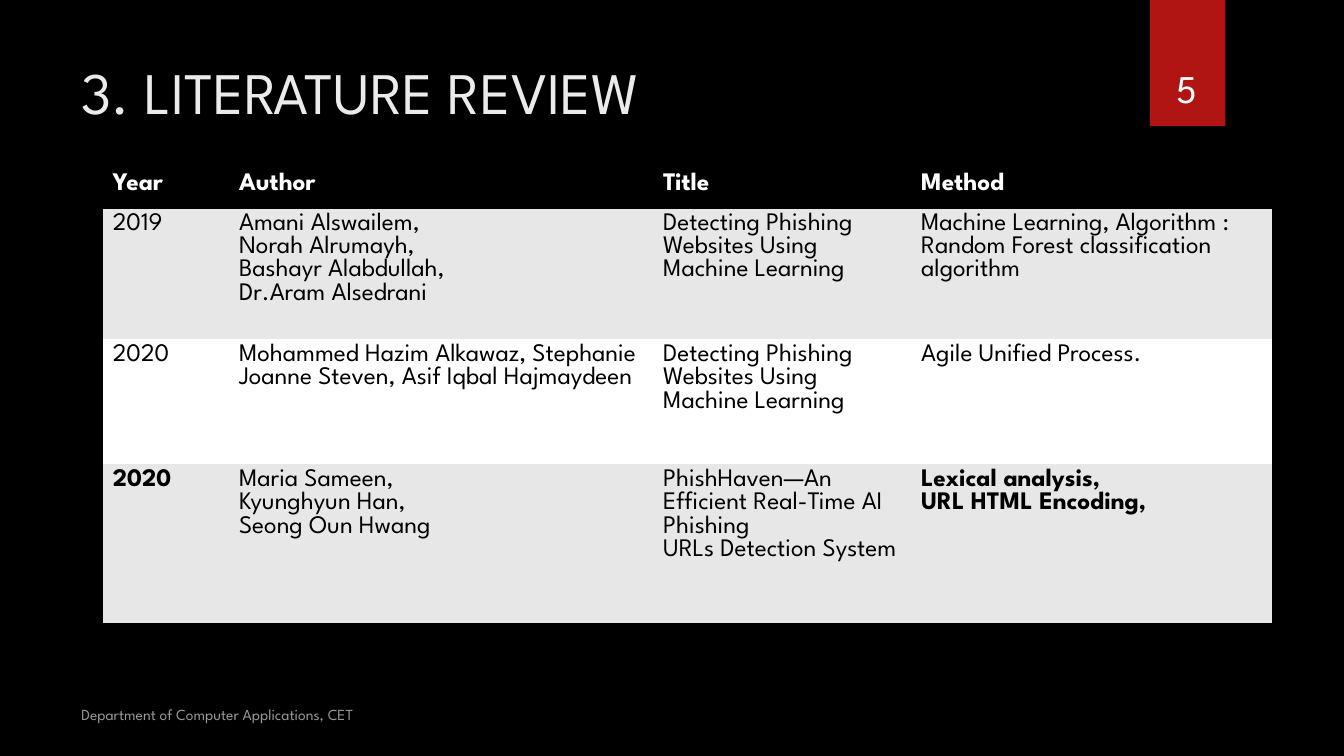
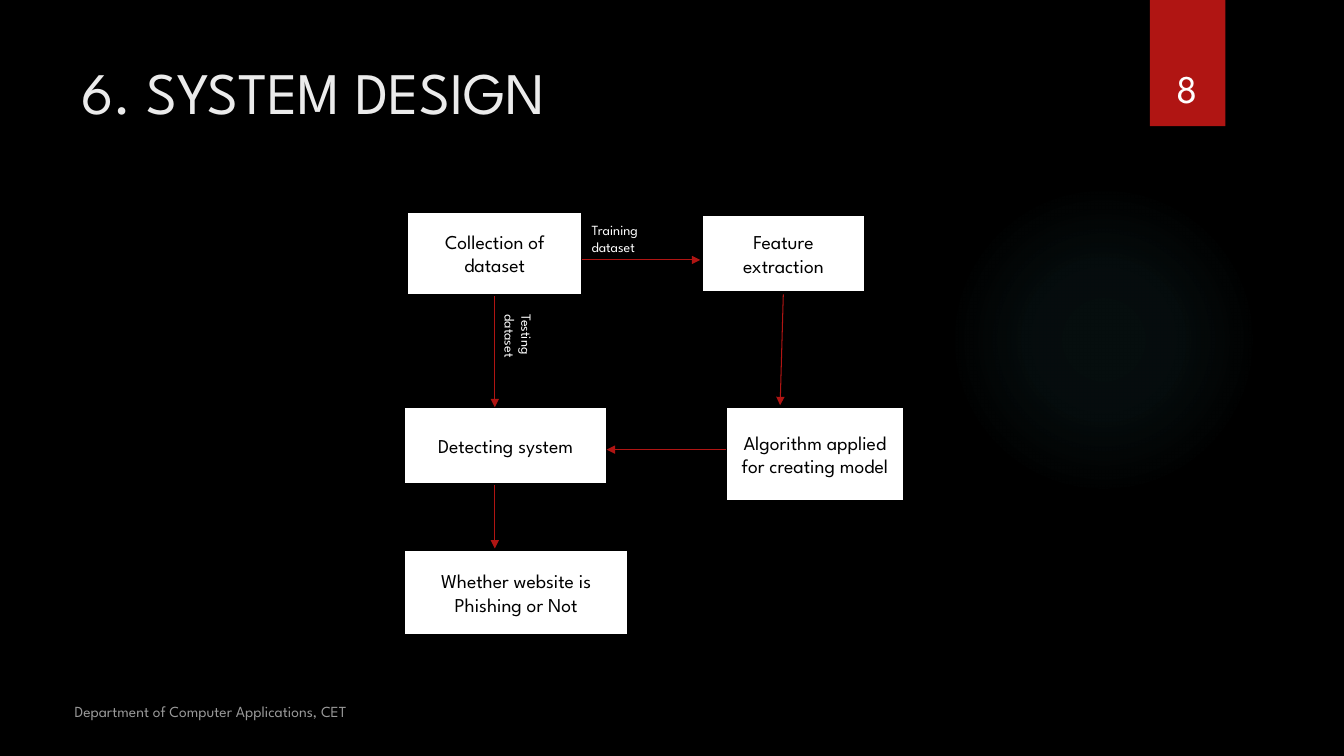
from lxml.etree import SubElement
from pptx import Presentation
from pptx.dml.color import RGBColor
from pptx.enum.shapes import MSO_CONNECTOR as LINK, MSO_SHAPE as SHAPE
from pptx.enum.text import MSO_ANCHOR as ANCHOR, MSO_AUTO_SIZE as SIZE, PP_ALIGN as ALIGN
from pptx.oxml import parse_xml
from pptx.oxml.ns import nsdecls, qn
from pptx.util import Cm, Pt

BLACK = RGBColor(0x00, 0x00, 0x00)
WHITE = RGBColor(0xFF, 0xFF, 0xFF)
PALE = RGBColor(0xEB, 0xEB, 0xEB)
GRAY = RGBColor(0x99, 0x99, 0x99)
STRIPE = RGBColor(0xE7, 0xE7, 0xE7)
RED = RGBColor(0xB0, 0x15, 0x13)
GLOW = RGBColor(0x50, 0xB9, 0xC1)
FONT = "League Spartan"
PLAIN_GRID = "{2D5ABB26-0587-4C30-8999-92F81FD0307C}"

HEAD = ["Year", "Author", "Title", "Method"]
PAPERS = [
    ["2019", "Amani Alswailem,\vNorah Alrumayh,\vBashayr Alabdullah,\nDr.Aram Alsedrani",
     "Detecting Phishing Websites Using Machine Learning",
     "Machine Learning, Algorithm :\nRandom Forest classification algorithm"],
    ["2020", "Mohammed Hazim Alkawaz, Stephanie Joanne Steven, Asif Iqbal Hajmaydeen",
     "Detecting Phishing Websites Using Machine Learning", "Agile Unified Process."],
    ["2020", "Maria Sameen,\nKyunghyun Han,\nSeong Oun Hwang",
     "PhishHaven—An Efficient Real-Time AI Phishing\nURLs Detection System",
     "Lexical analysis,\nURL HTML Encoding,"],
]
BOLD_CELLS = {(3, 0), (3, 3)}
COLS = [3.18, 10.69, 6.5, 9.09]
ROWS = [0.97, 2.97, 3.15, 4.04]

# Lengths below are in cm from the corner of the flow chart.
STEPS = [
    ("Collection of dataset", 0.07, 0, 4.42, 2.11),
    ("Feature extraction", 7.51, 0.08, 4.09, 1.96),
    ("Algorithm applied for creating model", 8.1, 4.93, 4.5, 2.36),
    ("Detecting system", 0, 4.93, 5.11, 1.93),
    ("Whether website is Phishing or Not", 0, 8.54, 5.64, 2.13),
]
ARROWS = [
    (4.47, 1.22, 7.46, 1.22),
    (9.55, 2.09, 9.47, 4.88),
    (8.1, 6, 5.1, 6),
    (2.28, 2.14, 2.28, 4.93),
    (2.28, 6.89, 2.28, 8.49),
]
LABELS = [
    ("Training dataset", 4.47, 0.13, 2.74, 1.12, 0),
    ("Testing dataset", 1.85, 2.8, 2.03, 1.12, 90),
]


def write(frame, text, size, color, align=ALIGN.LEFT, anchor=ANCHOR.TOP, bold=False):
    frame.text = text
    frame.word_wrap = True
    frame.vertical_anchor = anchor
    for para in frame.paragraphs:
        para.alignment = align
        for run in para.runs:
            font = run.font
            font.name, font.size, font.bold = FONT, Pt(size), bold
            font.color.rgb = color


def note(slide, box, *style, **more):
    """Add a text box at box, given in cm."""
    area = slide.shapes.add_textbox(*map(Cm, box))
    write(area.text_frame, *style, **more)
    return area


def block(slide, kind, box, color):
    shape = slide.shapes.add_shape(kind, *map(Cm, box))
    shape.shadow.inherit = False
    shape.fill.solid()
    shape.fill.fore_color.rgb = color
    shape.line.fill.background()
    return shape


def fade(shape, color, stops):
    """Fill with a round gradient; stops are (place, opacity) in percent."""
    marks = "".join(
        f'<a:gs pos="{pos * 1000}"><a:srgbClr val="{color}">'
        f'<a:alpha val="{alpha * 1000}"/></a:srgbClr></a:gs>' for pos, alpha in stops)
    props = shape.element.spPr
    props.replace(props.find(qn("a:solidFill")), parse_xml(
        f'<a:gradFill {nsdecls("a")} rotWithShape="1"><a:gsLst>{marks}</a:gsLst>'
        '<a:path path="circle"><a:fillToRect l="50000" t="50000" r="50000" b="50000"/>'
        '</a:path></a:gradFill>'))


def dress(deck, slide):
    """Set the background, and move the glow and the red band to the layout."""
    back = deck.slide_master.background.fill
    back.solid()
    back.fore_color.rgb = BLACK
    glow = block(slide, SHAPE.OVAL, (23.9, 4.65, 7.82, 7.82), GLOW)
    fade(glow, GLOW, [(0, 7), (36, 6), (69, 0)])
    band = block(slide, SHAPE.RECTANGLE, (28.98, 0, 1.9, 3.18), RED)
    for shape in (glow, band):
        slide.slide_layout.shapes.element.append(shape.element)


def start(deck, title, number, left, top):
    """Add a slide with title and number, and its footer at left, top."""
    slide = deck.slides.add_slide(deck.slide_layouts[5])
    head = slide.shapes.title
    head.left, head.top, head.width, head.height = map(Cm, (1.8, 1.27, 27.94, 3.89))
    write(head.text_frame, title, 42, PALE)
    head.text_frame.auto_size = SIZE.NONE
    note(slide, (left, top, 10.72, 0.84), "Department of Computer Applications, CET",
         11, GRAY, anchor=ANCHOR.BOTTOM)
    note(slide, (28.75, 0.81, 2.34, 2.13), number, 28, WHITE, ALIGN.CENTER, ANCHOR.BOTTOM)
    return slide


def rule(cell):
    """Draw a black line under a cell."""
    cell._tc.get_or_add_tcPr().insert(0, parse_xml(
        f'<a:lnB {nsdecls("a")} w="25400"><a:solidFill>'
        f'<a:srgbClr val="{BLACK}"/></a:solidFill></a:lnB>'))


def review(slide, left, top):
    frame = slide.shapes.add_table(
        len(ROWS), len(COLS), Cm(left), Cm(top), Cm(sum(COLS)), Cm(sum(ROWS)))
    table = frame.table
    table._tbl.tblPr.find(qn("a:tableStyleId")).text = PLAIN_GRID
    for col, width in zip(table.columns, COLS):
        col.width = Cm(width)
    for row, height in zip(table.rows, ROWS):
        row.height = Cm(height)
    for i, texts in enumerate([HEAD] + PAPERS):
        first = i == 0
        fill = BLACK if first else STRIPE if i % 2 else WHITE
        for j, text in enumerate(texts):
            cell = table.cell(i, j)
            cell.fill.solid()
            cell.fill.fore_color.rgb = fill
            write(cell.text_frame, text, 18, WHITE if first else BLACK,
                  bold=first or (i, j) in BOLD_CELLS)
            if first or i == len(PAPERS):
                rule(cell)


def arrow(slide, ends):
    link = slide.shapes.add_connector(LINK.STRAIGHT, *map(Cm, ends))
    link.line.color.rgb = RED
    link.line.width = Pt(0.75)
    SubElement(link.line._get_or_add_ln(), qn("a:tailEnd"), type="triangle")
    SubElement(link.element.spPr, qn("a:effectLst"))


def flow(slide, left, top):
    for text, x, y, width, height in STEPS:
        step = block(slide, SHAPE.RECTANGLE, (left + x, top + y, width, height), WHITE)
        step.line.color.rgb = BLACK
        step.line.width = Pt(1.5)
        write(step.text_frame, text, 14, BLACK, ALIGN.CENTER, ANCHOR.MIDDLE)
    for x1, y1, x2, y2 in ARROWS:
        arrow(slide, (left + x1, top + y1, left + x2, top + y2))
    for text, x, y, width, height, turn in LABELS:
        label = note(slide, (left + x, top + y, width, height), text, 10, WHITE)
        label.rotation = turn


def main():
    deck = Presentation()
    deck.slide_width, deck.slide_height = Cm(33.87), Cm(19.05)
    papers = start(deck, "3. LITERATURE REVIEW", "5", 1.8, 17.53)
    dress(deck, papers)
    review(papers, 2.59, 4.22)
    design = start(deck, "6. SYSTEM DESIGN", "8", 1.63, 17.45)
    flow(design, 10.19, 5.33)
    deck.save("out.pptx")


if __name__ == "__main__":
    main()
